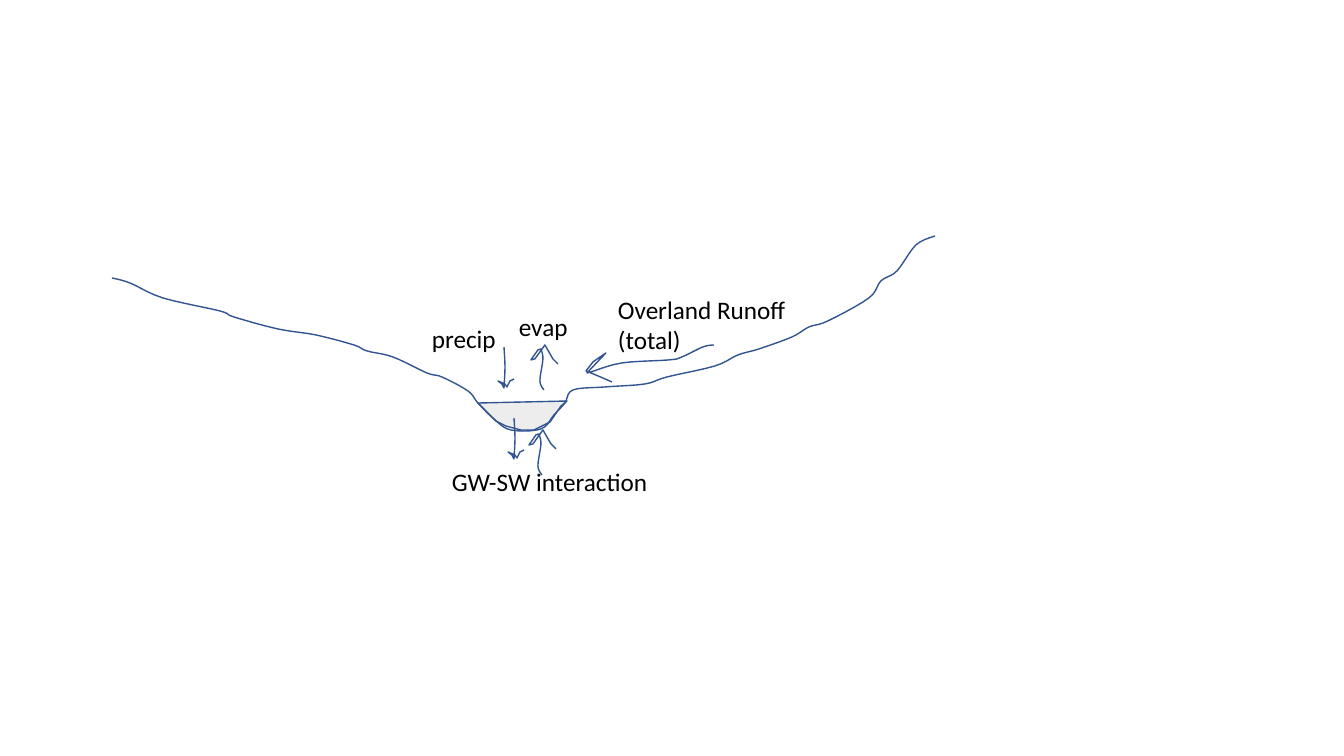
from itertools import pairwise

from pptx import Presentation
from pptx.dml.color import RGBColor
from pptx.enum.text import MSO_AUTO_SIZE
from pptx.util import Emu, Pt

FIT_SHAPE = MSO_AUTO_SIZE.SHAPE_TO_FIT_TEXT
SCALE = 914400 / 100.8
BLANK_LAYOUT = 6
CURVE_STEPS = 5
INK = RGBColor(0x32, 0x54, 0x91)
WATER = RGBColor(0xED, 0xED, 0xED)
BLACK = RGBColor(0, 0, 0)

LEFT_SLOPE = [(112, 278), (130, 283), (163, 298), (220, 311), (234, 317), (278, 329),
              (316, 335), (354, 345), (367, 351), (393, 357), (427, 373), (442, 377),
              (468, 391)]
CHANNEL = [(478, 403), (494, 419), (511, 430), (541, 429), (554, 415), (565, 403),
           (573, 390)]
RIGHT_SLOPE = [(605, 387), (645, 384), (667, 377), (715, 366), (738, 355), (759, 349),
               (792, 337), (809, 327), (828, 321), (869, 298), (881, 281), (897, 271),
               (916, 245), (935, 236)]
VALLEY = LEFT_SLOPE + CHANNEL + RIGHT_SLOPE
POOL = [(478, 403), (496, 421), (506, 426), (521, 430), (534, 430), (550, 422),
        (561, 406), (567, 401)]

RUNOFF_SHAFT = [(714, 345), (703, 347), (682, 357), (669, 360), (622, 363), (591, 372)]
RUNOFF_HEAD = [(587, 373), (606, 353), (593, 362), (586, 371), (598, 376), (612, 382)]
DOWN_SHAFT = [(0, 0), (1, 20), (0, 41)]
DOWN_HEAD = [(-2, 37), (-6, 34), (1, 37), (3, 40), (6, 34), (10, 32)]
UP_SHAFT = [(0, 0), (-4, -9), (-1, -31), (-3, -41)]
UP_HEAD = [(-6, -40), (-13, -30), (-9, -31), (1, -45), (9, -31), (14, -26)]


def emu(pixels):
    """Turn pixels into EMU."""
    return Emu(round(pixels * SCALE))


def spline(before, start, end, after, t):
    """Give the Catmull-Rom value between start and end at t."""
    slope = end - before
    bend = 2 * before - 5 * start + 4 * end - after
    twist = 3 * (start - end) + after - before
    return start + (slope * t + bend * t ** 2 + twist * t ** 3) / 2


def smooth(knots):
    """Join the knots by a smooth curve."""
    padded = [knots[0], *knots, knots[-1]]
    curve = [knots[0]]
    for window in zip(padded, padded[1:], padded[2:], padded[3:]):
        across, down = zip(*window)
        for step in range(1, CURVE_STEPS + 1):
            t = step / CURVE_STEPS
            curve.append((spline(*across, t), spline(*down, t)))
    return curve


class Sketch:
    """Hold the drawing style and the current slide."""

    font_name = "Calibri"
    font_size = Pt(18)
    line_width = Pt(1)

    def __init__(self, slide):
        """Keep the slide to draw on."""
        self.slide = slide

    def outline(self, points, closed=False):
        """Draw an ink line through the points."""
        placed = [(emu(x), emu(y)) for x, y in points]
        builder = self.slide.shapes.build_freeform(*placed[0])
        builder.add_line_segments(placed[1:], close=closed)
        shape = builder.convert_to_shape()
        shape.shadow.inherit = False
        shape.line.color.rgb = INK
        shape.line.width = self.line_width
        shape.fill.background()
        return shape

    def water(self, bed):
        """Draw a filled pool above its bed."""
        shape = self.outline(bed, closed=True)
        shape.fill.solid()
        shape.fill.fore_color.rgb = WATER

    def arrow(self, shaft, head, left=0, top=0):
        """Draw a curved shaft and a sharp head in one stroke."""
        stroke = smooth(shaft) + head
        self.outline([(left + x, top + y) for x, y in stroke])

    def label(self, text, left, top, width, height):
        """Write an unwrapped label."""
        box = self.slide.shapes.add_textbox(*map(emu, (left, top, width, height)))
        frame = box.text_frame
        frame.word_wrap = False
        frame.auto_size = FIT_SHAPE
        frame.text = text
        for paragraph in frame.paragraphs:
            for run in paragraph.runs:
                run.font.name = self.font_name
                run.font.size = self.font_size
                run.font.color.rgb = BLACK


presentation = Presentation()
presentation.slide_width = emu(1344)
presentation.slide_height = emu(756)
slide = presentation.slides.add_slide(presentation.slide_layouts[BLANK_LAYOUT])
sketch = Sketch(slide)

sketch.water(POOL)
sketch.outline(smooth(VALLEY))
sketch.arrow(RUNOFF_SHAFT, RUNOFF_HEAD)

groundwater_loss, precipitation = (514, 418), (504, 347)
for start in (groundwater_loss, precipitation):
    sketch.arrow(DOWN_SHAFT, DOWN_HEAD, *start)

sketch.label("GW-SW interaction", 442, 461, 219, 40)
sketch.label("Overland Runoff \n(total)", 608, 289, 196, 72)
sketch.label("evap", 509, 306, 70, 40)
sketch.label("precip", 422, 318, 85, 40)

groundwater_gain, evaporation = (542, 475), (544, 390)
for start in (groundwater_gain, evaporation):
    sketch.arrow(UP_SHAFT, UP_HEAD, *start)

presentation.save("out.pptx")
